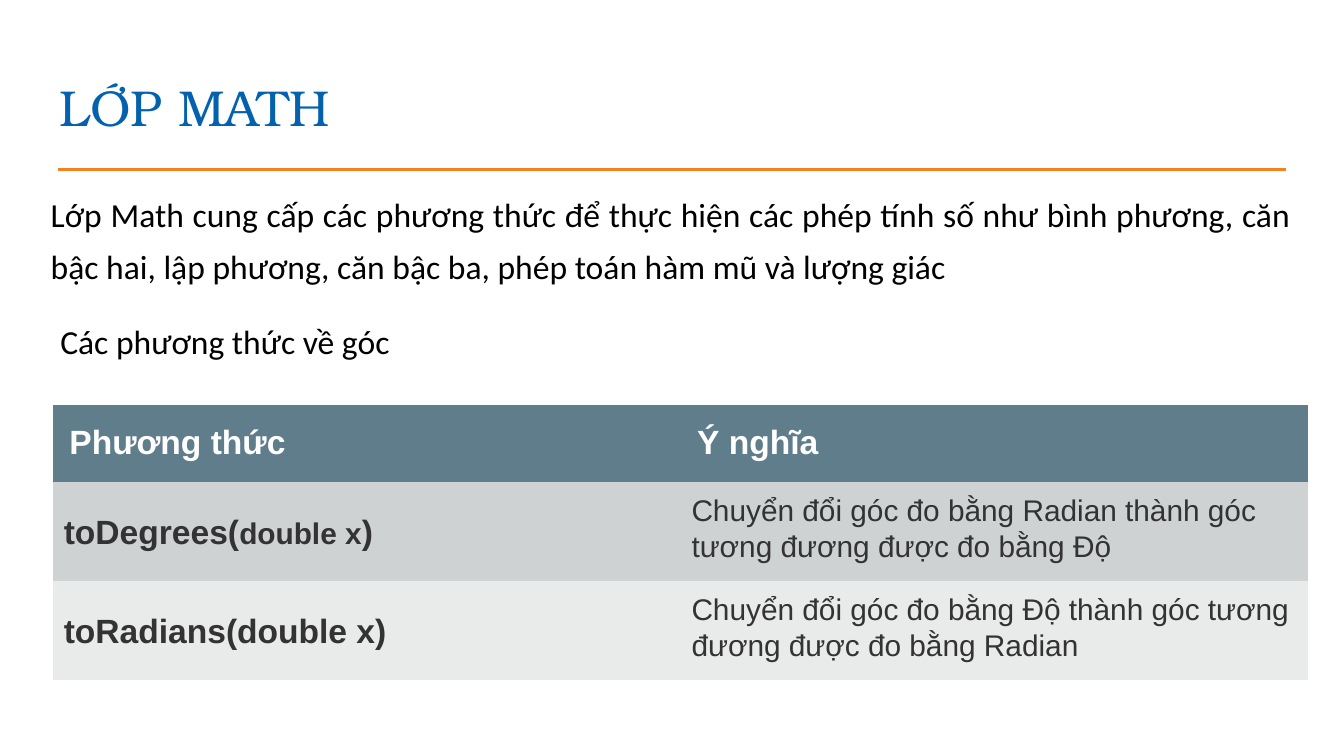
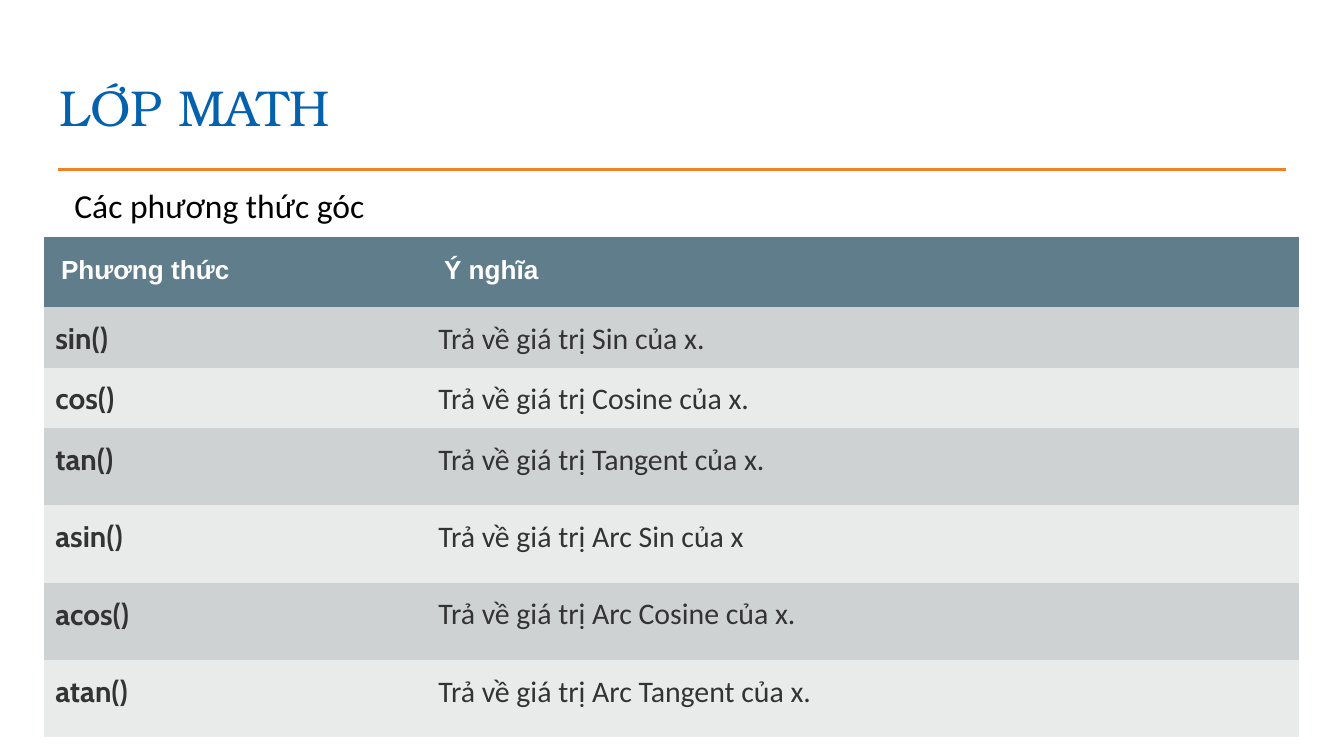
from lxml import etree
from pptx import Presentation
from pptx.dml.color import RGBColor
from pptx.enum.shapes import MSO_CONNECTOR, MSO_SHAPE
from pptx.enum.text import MSO_ANCHOR, MSO_AUTO_SIZE, PP_ALIGN
from pptx.oxml.ns import qn
from pptx.util import Emu, Pt

STRAIGHT = MSO_CONNECTOR.STRAIGHT
RECTANGLE = MSO_SHAPE.RECTANGLE
TOP, MIDDLE, BOTTOM = MSO_ANCHOR.TOP, MSO_ANCHOR.MIDDLE, MSO_ANCHOR.BOTTOM
LEFT, JUSTIFY = PP_ALIGN.LEFT, PP_ALIGN.JUSTIFY
GROW = MSO_AUTO_SIZE.SHAPE_TO_FIT_TEXT

EMU_PER_PX = 3810  # 240 px to the inch
SLIDE_SIZE = (2400, 1350)
PLAIN_TABLE_STYLE = "{2D5ABB26-0587-4C30-8999-92F81FD0307C}"
HEADINGS = ("Phương thức", "Ý nghĩa")
HEADER_MARGIN, CELL_MARGIN = 30, 20

COLORS = {
    "title": "0361AE",
    "rule": "F48121",
    "black": "000000",
    "white": "FFFFFF",
    "header": "607D8B",
    "odd_row": "CFD2D3",
    "even_row": "E9EAEA",
    "cell_text": "333333",
}
TITLE_FONT, BODY_FONT, TABLE_FONT, METHOD_FONT = "TeX Gyre Bonum", "Calibri", "Arial", "Cabin"


def px(*lengths):
    return [Emu(length * EMU_PER_PX) for length in lengths]


def rgb(name):
    return RGBColor.from_string(COLORS[name])


def write_text(frame, text, font=BODY_FONT, size=18, color="black", bold=False,
               align=LEFT, line_spacing=None, space_after=None):
    """Fill the first paragraph; text is a string or a list of (string, size) pairs."""
    para = frame.paragraphs[0]
    para.alignment = align
    para.line_spacing = line_spacing
    if space_after is not None:
        para.space_after = Pt(space_after)
    for words, points in [(text, size)] if isinstance(text, str) else text:
        span = para.add_run()
        span.text = words
        span.font.name = font
        span.font.size = Pt(points)
        span.font.bold = bold
        span.font.color.rgb = rgb(color)


def set_margins(holder, margin):
    holder.margin_left = holder.margin_right = px(margin)[0]
    holder.margin_top = holder.margin_bottom = px(margin)[0]


def add_page(deck, title):
    page = deck.slides.add_slide(deck.slide_layouts[6])
    rule = page.shapes.add_connector(STRAIGHT, *px(104, 303, 2296, 303))
    rule.line.color.rgb = rgb("rule")
    rule.line.width = Pt(1.5)
    etree.SubElement(rule.element.spPr, qn("a:effectLst"))
    frame = page.shapes.add_textbox(*px(82, 117, 2237, 151)).text_frame
    frame.word_wrap = True
    frame.vertical_anchor = BOTTOM
    set_margins(frame, 24)
    write_text(frame, title, font=TITLE_FONT, size=27, color="title")
    return page


def add_intro(page, box, text):
    frame = page.shapes.add_textbox(*px(*box)).text_frame
    frame.word_wrap = True
    frame.auto_size = GROW
    write_text(frame, text, align=JUSTIFY, line_spacing=1.3)


def add_caption(page, box, text):
    caption = page.shapes.add_shape(RECTANGLE, *px(*box))
    caption.shadow.inherit = False
    caption.fill.solid()
    caption.fill.fore_color.rgb = rgb("white")
    caption.line.fill.background()
    frame = caption.text_frame
    frame.word_wrap = False
    frame.auto_size = GROW
    frame.vertical_anchor = MIDDLE
    write_text(frame, text, align=JUSTIFY)


def fill_cell(cell, text, fill, margin, anchor=TOP, **text_format):
    cell.fill.solid()
    cell.fill.fore_color.rgb = rgb(fill)
    cell.vertical_anchor = anchor
    set_margins(cell, margin)
    write_text(cell.text_frame, text, line_spacing=1.07, **text_format)


def add_method_table(page, box, widths, heights, methods, header_size,
                     method_format, meaning_font):
    """Build a header row and one banded row per (method, meaning) pair."""
    holder = page.shapes.add_table(len(heights), len(widths), *px(*box))
    for style in holder.element.iter(qn("a:tableStyleId")):
        style.text = PLAIN_TABLE_STYLE
    table = holder.table
    for column, width in zip(table.columns, px(*widths)):
        column.width = width
    for row, height in zip(table.rows, px(*heights)):
        row.height = height
    for index, heading in enumerate(HEADINGS):
        fill_cell(table.cell(0, index), heading, "header", HEADER_MARGIN,
                  font=TABLE_FONT, size=header_size, color="white", bold=True)
    for index, (method, meaning) in enumerate(methods, start=1):
        fill = "odd_row" if index % 2 else "even_row"
        fill_cell(table.cell(index, 0), method, fill, CELL_MARGIN,
                  color="cell_text", bold=True, align=JUSTIFY, **method_format)
        fill_cell(table.cell(index, 1), meaning, fill, CELL_MARGIN,
                  font=meaning_font, size=16, color="cell_text", space_after=8)


def build_angle_conversion(deck):
    page = add_page(deck, "LỚP MATH")
    add_intro(page, (67, 313, 2263, 214),
              "Lớp Math cung cấp các phương thức để thực hiện các phép tính số như "
              "bình phương, căn bậc hai, lập phương, căn bậc ba, phép toán hàm mũ "
              "và lượng giác")
    methods = [
        ([("toDegrees(", 18), ("double x", 16), (")", 18)],
         "Chuyển đổi góc đo bằng Radian thành góc tương đương được đo bằng Độ"),
        ("toRadians(double x)",
         "Chuyển đổi góc đo bằng Độ thành góc tương đương được đo bằng Radian"),
    ]
    add_method_table(page, (94, 723, 2242, 485), (1121, 1121), (130, 163, 144), methods,
                     header_size=18, meaning_font=TABLE_FONT,
                     method_format={"font": TABLE_FONT, "size": 18, "anchor": MIDDLE})
    add_caption(page, (84, 560, 646, 97), "Các phương thức về góc")


def build_trigonometry(deck):
    page = add_page(deck, "LỚP MATH")
    methods = [
        ("sin()", "Trả về giá trị Sin của x."),
        ("cos()", "Trả về giá trị Cosine của x."),
        ("tan()", "Trả về giá trị Tangent của x."),
        ("asin()", "Trả về giá trị Arc Sin của x"),
        ("acos()", "Trả về giá trị Arc Cosine của x."),
        ("atan()", "Trả về giá trị Arc Tangent của x."),
    ]
    add_method_table(page, (79, 423, 2241, 888), (684, 1557),
                     (125, 103, 103, 138, 138, 138, 138), methods,
                     header_size=14, meaning_font=BODY_FONT,
                     method_format={"font": METHOD_FONT, "size": 16})
    add_caption(page, (109, 317, 574, 97), "Các phương thức góc")


def main():
    deck = Presentation()
    deck.slide_width, deck.slide_height = px(*SLIDE_SIZE)
    build_angle_conversion(deck)
    build_trigonometry(deck)
    deck.save("out.pptx")


if __name__ == "__main__":
    main()
